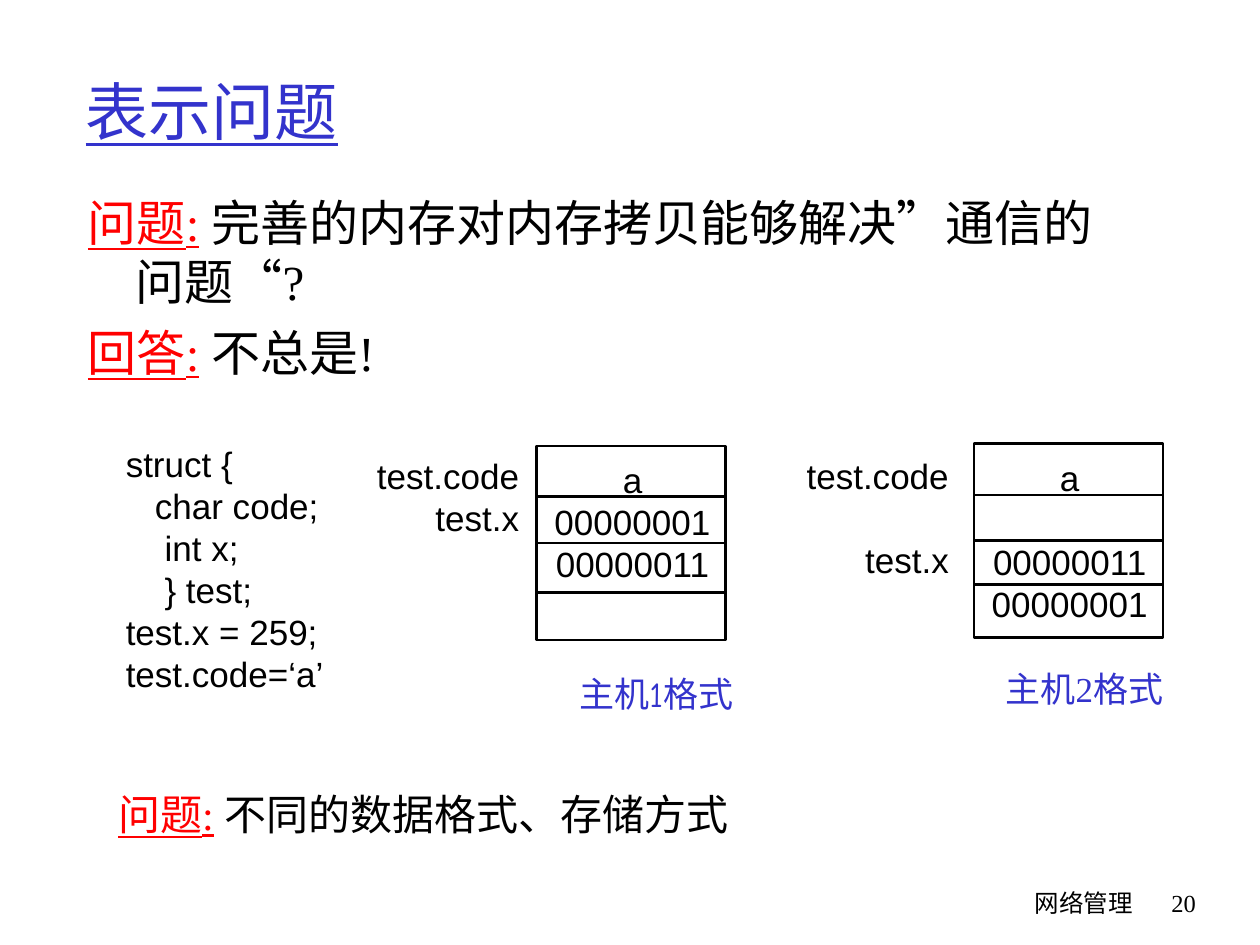
from lxml import etree
from pptx import Presentation
from pptx.dml.color import RGBColor
from pptx.enum.shapes import MSO_CONNECTOR, MSO_SHAPE
from pptx.enum.text import MSO_ANCHOR, PP_ALIGN
from pptx.oxml.ns import qn
from pptx.util import Inches, Pt

BLACK = RGBColor(0, 0, 0)
WHITE = RGBColor(0xFF, 0xFF, 0xFF)
BLUE = RGBColor(0x33, 0x33, 0xCC)
RED = RGBColor(0xFF, 0, 0)

SERIF = "Times New Roman"
SANS = "Arial"
COMIC = "Comic Neue"

LEFT, CENTER, RIGHT = PP_ALIGN.LEFT, PP_ALIGN.CENTER, PP_ALIGN.RIGHT
MIDDLE = MSO_ANCHOR.MIDDLE
RECTANGLE = MSO_SHAPE.RECTANGLE
STRAIGHT = MSO_CONNECTOR.STRAIGHT
LEFT_SIDE, RIGHT_SIDE = 1, 3

LINE_WIDTH = Pt(1.5)
CODE_LINE = 24


class SlideBuilder:
    def __init__(self, presentation):
        self.slide = presentation.slides.add_slide(presentation.slide_layouts[5])

    def style(self, run, size, font=SERIF, color=BLACK, underline=False):
        run.font.size = Pt(size)
        run.font.name = font
        run.font.color.rgb = color
        run.font.underline = underline

    def title(self, text, left, top, width, height):
        shape = self.slide.shapes.title
        shape.left, shape.top = Inches(left), Inches(top)
        shape.width, shape.height = Inches(width), Inches(height)
        shape.text_frame.text = text
        shape.text_frame.vertical_anchor = MIDDLE
        paragraph = shape.text_frame.paragraphs[0]
        paragraph.alignment = LEFT
        self.style(paragraph.runs[0], 36, color=BLUE, underline=True)

    def text_box(self, left, top, width, height, wrap=True):
        shape = self.slide.shapes.add_textbox(
            Inches(left), Inches(top), Inches(width), Inches(height))
        shape.text_frame.word_wrap = wrap
        return shape.text_frame

    def lines(self, lines, left, top, width, height, size=20, font=SANS,
              color=BLACK, align=LEFT, gaps=None):
        """Add one paragraph per line; gaps maps a line number to its space before."""
        text_frame = self.text_box(left, top, width, height, wrap=False)
        text_frame.text = "\n".join(lines)
        for number, paragraph in enumerate(text_frame.paragraphs):
            paragraph.alignment = align
            if gaps and number in gaps:
                paragraph.space_before = Pt(gaps[number])
            self.style(paragraph.runs[0], size, font, color)

    def statements(self, statements, left, top, width, height, size, gap=0):
        """Add hanging paragraphs, each a red underlined label and its (text, font) parts."""
        text_frame = self.text_box(left, top, width, height)
        for number, (label, parts) in enumerate(statements):
            paragraph = text_frame.add_paragraph() if number else text_frame.paragraphs[0]
            if number:
                paragraph.space_before = Pt(gap)
            properties = paragraph._p.get_or_add_pPr()
            properties.set("marL", str(Inches(0.38)))
            properties.set("indent", str(-Inches(0.38)))
            run = paragraph.add_run()
            run.text = label
            self.style(run, size, color=RED, underline=True)
            for text, font in parts:
                run = paragraph.add_run()
                run.text = text
                self.style(run, size, font)

    def rectangle(self, left, top, width, height):
        shape = self.slide.shapes.add_shape(
            RECTANGLE, Inches(left), Inches(top), Inches(width), Inches(height))
        shape.shadow.inherit = False
        shape.fill.solid()
        shape.fill.fore_color.rgb = WHITE
        shape.line.color.rgb = BLACK
        shape.line.width = LINE_WIDTH
        return shape

    def divider(self, left, y, width):
        connector = self.slide.shapes.add_connector(
            STRAIGHT, Inches(left), Inches(y), Inches(left + width), Inches(y))
        connector.line.color.rgb = BLACK
        connector.line.width = LINE_WIDTH
        etree.SubElement(connector._element.spPr, qn("a:effectLst"))
        return connector

    def memory(self, left, top, cells, upper, lower, gaps=None):
        """Draw four memory cells; upper and lower are the outer divider offsets."""
        width, height = 1.5, 1.54
        box = self.rectangle(left, top, width, height)
        self.lines(cells, left + 0.04, top + 0.05, 1.44, 1.1, align=CENTER, gaps=gaps)
        for offset in (upper, lower):
            self.divider(left, top + offset, width)
        middle = self.divider(left, top + height / 2, width)
        middle.begin_connect(box, LEFT_SIDE)
        middle.end_connect(box, RIGHT_SIDE)


def main():
    presentation = Presentation()
    presentation.slide_width = Inches(10)
    presentation.slide_height = Inches(7.5)
    builder = SlideBuilder(presentation)

    builder.title("表示问题", 0.58, 0.25, 8.5, 1.25)
    builder.statements([
        ("问题:", [(" 完善的内存对内存拷贝能够解决", SERIF), ("”", COMIC),
                 ("通信的问题", SERIF), ("“", COMIC), ("?", SERIF)]),
        ("回答:", [(" 不总是!", SERIF)]),
    ], 0.6, 1.48, 8.5, 1.68, size=28, gap=7)
    builder.statements([("问题:", [(" 不同的数据格式、存储方式", SERIF)])],
                       0.84, 6.21, 8.5, 0.62, size=24)

    builder.lines(["struct {", "   char code;", "    int x;", "    } test;",
                   "test.x = 259;", "test.code=‘a’"], 0.9, 3.46, 1.77, 2.1)

    skipped_cell = {1: CODE_LINE}
    labels = ["test.code", "test.x"]
    builder.memory(4.26, 3.54, ["a", "00000001", "00000011"], 0.4, 1.16)
    builder.memory(7.73, 3.52, ["a", "00000011", "00000001"], 0.41, 1.12, skipped_cell)
    builder.lines(labels, 2.89, 3.56, 1.33, 0.77, align=RIGHT)
    builder.lines(labels, 6.3, 3.56, 1.33, 1.1, align=RIGHT, gaps=skipped_cell)

    builder.lines(["主机1格式"], 4.37, 5.29, 1.55, 0.44, font=COMIC, color=BLUE, align=RIGHT)
    builder.lines(["主机2格式"], 7.75, 5.25, 1.58, 0.44, font=SERIF, color=BLUE, align=RIGHT)

    builder.lines(["网络管理"], 5.92, 7, 3.17, 0.5, size=14, font=COMIC, align=RIGHT)
    builder.lines(["20"], 8.94, 7, 0.65, 0.5, size=14, font=SERIF, align=RIGHT)

    presentation.save("out.pptx")


if __name__ == "__main__":
    main()
